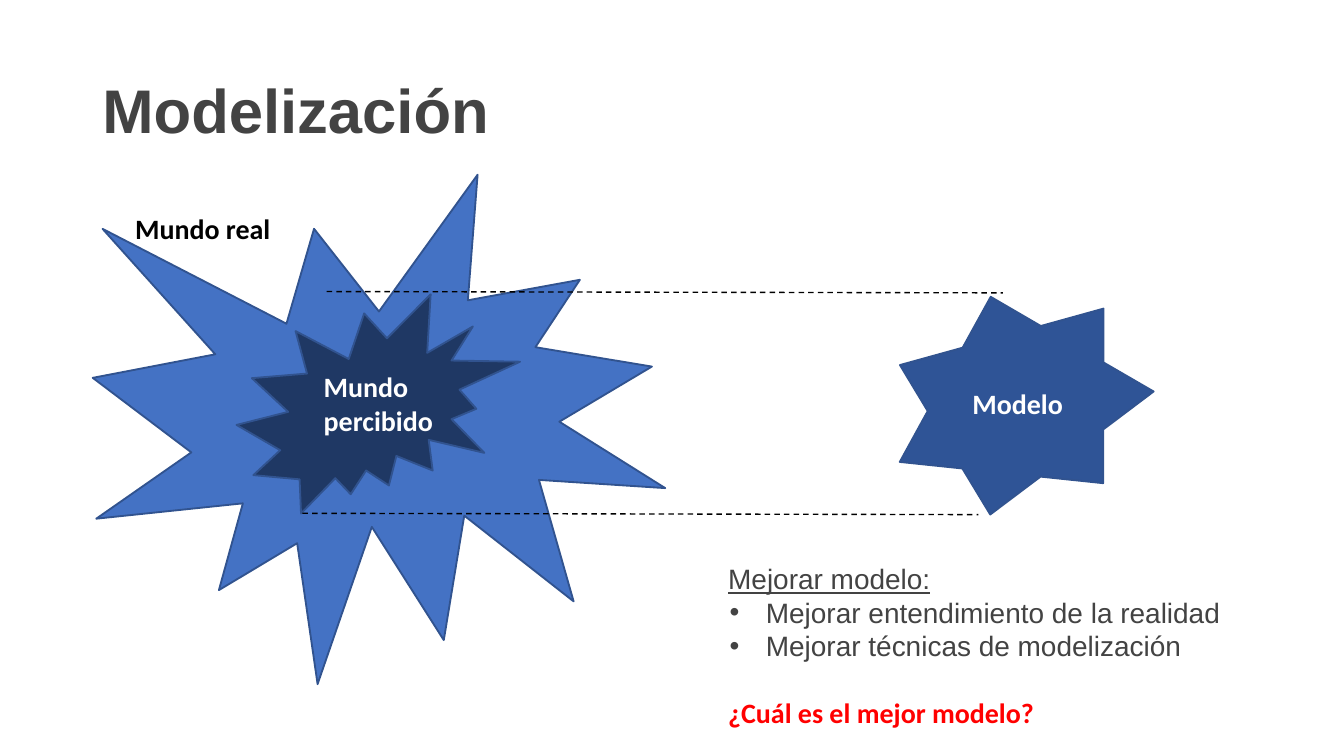
from dataclasses import dataclass
from typing import Optional

from lxml.etree import SubElement
from pptx import Presentation
from pptx.dml.color import RGBColor
from pptx.enum.dml import MSO_LINE_DASH_STYLE as Dash
from pptx.enum.shapes import MSO_CONNECTOR as Connector, MSO_SHAPE as Shape
from pptx.enum.text import MSO_ANCHOR as Anchor
from pptx.oxml.ns import qn
from pptx.util import Pt


@dataclass(frozen=True)
class Theme:
    text: str = "434343"
    black: str = "000000"
    white: str = "FFFFFF"
    accent: str = "FF0000"
    real: str = "4472C4"
    perceived: str = "1F3864"
    model: str = "2F5496"
    outline: str = "31538F"
    heading_font: str = "Arial"
    label_font: str = "Calibri"
    title_size: float = 33
    body_size: float = 15


THEME = Theme()


@dataclass(frozen=True)
class Area:
    left: float
    top: float
    width: float
    height: float

    def lengths(self) -> tuple:
        return Pt(self.left), Pt(self.top), Pt(self.width), Pt(self.height)


@dataclass(frozen=True)
class World:
    kind: Shape
    area: Area
    fill: str
    rotation: float = 0


@dataclass(frozen=True)
class Line:
    text: str
    color: str = THEME.text
    font: str = THEME.heading_font
    size: float = THEME.body_size
    bold: bool = False
    underline: Optional[bool] = None
    bullet: bool = False
    space_before: float = 0
    spacing: Optional[float] = None


@dataclass(frozen=True)
class TextBlock:
    area: Area
    lines: tuple
    anchor: Anchor = Anchor.TOP


@dataclass(frozen=True)
class Guide:
    left: float
    top: float


def label(text: str, color: str, space_before: float = 0) -> Line:
    return Line(text, color, THEME.label_font, bold=True, space_before=space_before)


WORLDS = (
    World(Shape.EXPLOSION1, Area(49.7, 93.6, 306.7, 272.9), THEME.real),
    World(Shape.EXPLOSION2, Area(126.7, 157.7, 151.9, 117.4), THEME.perceived),
    World(Shape.STAR_7_POINT, Area(475.2, 157, 141.1, 112.3), THEME.model, 344.5),
)

GUIDES = (Guide(162, 275), Guide(175, 156.2))
GUIDE_WIDTH, GUIDE_DROP = 362.2, 0.7

TEXTS = (
    TextBlock(
        Area(49.5, 21.6, 621, 78.3),
        (Line("Modelización", size=THEME.title_size, bold=True, spacing=0.9),),
        Anchor.MIDDLE,
    ),
    TextBlock(Area(67, 110.9, 84.2, 23.8), (label("Mundo real", THEME.black),)),
    TextBlock(
        Area(168, 195.5, 70, 41.8),
        (label("Mundo", THEME.white), label("percibido", THEME.white)),
    ),
    TextBlock(Area(515.5, 204.5, 60, 23.8), (label("Modelo", THEME.white),)),
    TextBlock(
        Area(384.7, 298.2, 294.5, 96.5),
        (
            Line("Mejorar modelo:", underline=True),
            Line("Mejorar entendimiento de la realidad", bullet=True),
            Line("Mejorar técnicas de modelización", bullet=True),
            label("¿Cuál es el mejor modelo?", THEME.accent, space_before=17.5),
        ),
    ),
)


def add_world(page, world: World) -> None:
    shape = page.shapes.add_shape(world.kind, *world.area.lengths())
    shape.shadow.inherit = False
    shape.rotation = world.rotation
    shape.fill.solid()
    shape.fill.fore_color.rgb = RGBColor.from_string(world.fill)
    shape.line.color.rgb = RGBColor.from_string(THEME.outline)
    shape.line.width = Pt(1)


def add_guide(page, guide: Guide) -> None:
    connector = page.shapes.add_connector(
        Connector.STRAIGHT, Pt(guide.left), Pt(guide.top),
        Pt(guide.left + GUIDE_WIDTH), Pt(guide.top + GUIDE_DROP),
    )
    connector.line.color.rgb = RGBColor.from_string(THEME.black)
    connector.line.width = Pt(0.75)
    connector.line.dash_style = Dash.DASH
    SubElement(connector._element.spPr, qn("a:effectLst"))


def add_bullet(para, color: str) -> None:
    properties = para._p.get_or_add_pPr()
    properties.set("marL", str(Pt(20.2)))
    properties.set("indent", str(-Pt(19.5)))
    bullet_color = SubElement(properties, qn("a:buClr"))
    SubElement(bullet_color, qn("a:srgbClr"), val=color)
    SubElement(properties, qn("a:buFont"), typeface=THEME.heading_font)
    SubElement(properties, qn("a:buChar"), char="•")


def write_line(para, line: Line) -> None:
    if line.spacing:
        para.line_spacing = line.spacing
    if line.space_before:
        para.space_before = Pt(line.space_before)
    if line.bullet:
        add_bullet(para, line.color)
    para.add_run().text = line.text
    para.font.name = line.font
    para.font.size = Pt(line.size)
    para.font.bold = line.bold
    para.font.underline = line.underline
    para.font.color.rgb = RGBColor.from_string(line.color)


def add_text(page, block: TextBlock) -> None:
    frame = page.shapes.add_textbox(*block.area.lengths()).text_frame
    frame.word_wrap = True
    frame.vertical_anchor = block.anchor
    frame.margin_left = frame.margin_right = Pt(5.4)
    frame.margin_top = frame.margin_bottom = Pt(2.7)
    for index, line in enumerate(block.lines):
        write_line(frame.add_paragraph() if index else frame.paragraphs[0], line)


def main() -> None:
    deck = Presentation()
    deck.slide_width, deck.slide_height = Pt(720), Pt(405)
    page = deck.slides.add_slide(deck.slide_layouts[6])

    # Real world, perceived world and model
    for world in WORLDS:
        add_world(page, world)

    # Dashed projection from the perceived world to the model
    for guide in GUIDES:
        add_guide(page, guide)

    # Title, labels and conclusions
    for block in TEXTS:
        add_text(page, block)

    deck.save("out.pptx")


if __name__ == "__main__":
    main()
